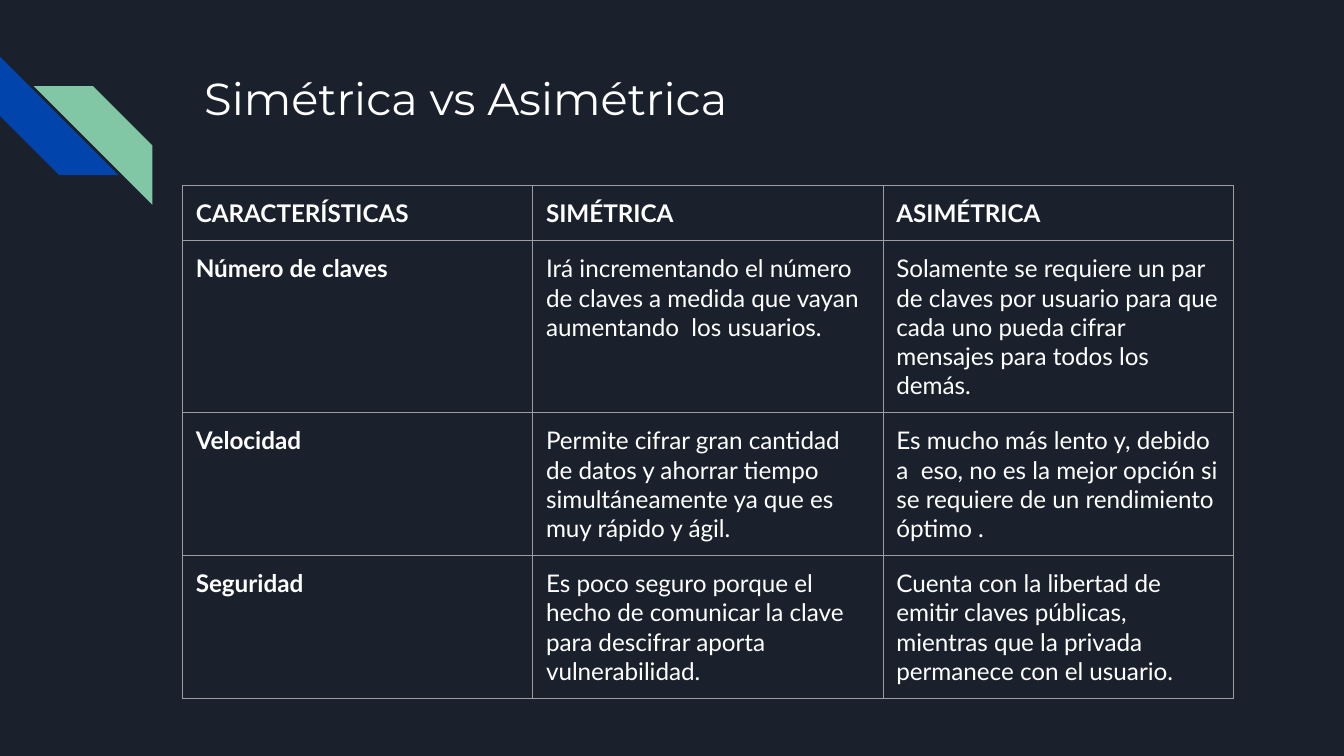
from lxml import etree
from pptx import Presentation
from pptx.dml.color import RGBColor
from pptx.enum.shapes import MSO_SHAPE
from pptx.enum.text import MSO_ANCHOR, PP_ALIGN
from pptx.oxml.ns import qn
from pptx.util import Cm, Pt

STRIPE = MSO_SHAPE.DIAGONAL_STRIPE
TOP = MSO_ANCHOR.TOP
LEFT = PP_ALIGN.LEFT

HUES = {"back": "1B212C", "text": "FFFFFF", "rule": "9E9E9E",
        "blue": "0145AC", "green": "82C7A5"}
TITLE = "Simétrica vs Asimétrica"
ROWS = [
    ("CARACTERÍSTICAS", "SIMÉTRICA", "ASIMÉTRICA"),
    ("Número de claves",
     "Irá incrementando el número de claves a medida que vayan aumentando  los usuarios.",
     "Solamente se requiere un par de claves por usuario para que cada uno pueda cifrar mensajes para todos los demás."),
    ("Velocidad",
     "Permite cifrar gran cantidad de datos y ahorrar tiempo simultáneamente ya que es muy rápido y ágil.",
     "Es mucho más lento y, debido a  eso, no es la mejor opción si se requiere de un rendimiento óptimo ."),
    ("Seguridad",
     "Es poco seguro porque el hecho de comunicar la clave para descifrar aporta vulnerabilidad.",
     "Cuenta con la libertad de emitir claves públicas, mientras que la privada permanece con el usuario."),
]
HIGHS = [0.94, 2.87, 2.51, 2.39]
WIDE = 6.62
BANDS = [("blue", 0, 1.07, 270, False), ("green", 0.64, 1.63, 0, True)]
SIDE = 2.24
PAD = Cm(0.25)


def hue(name):
    return RGBColor.from_string(HUES[name])


def style(frame, font, size, bold=False):
    for par in frame.paragraphs:
        par.alignment = LEFT
        for run in par.runs:
            run.font.name = font
            run.font.size = Pt(size)
            run.font.bold = bold
            run.font.color.rgb = hue("text")


def inset(box):
    box.margin_left = box.margin_right = PAD
    box.margin_top = box.margin_bottom = PAD
    box.vertical_anchor = TOP


def rule(cell):
    props = cell._tc.get_or_add_tcPr()
    for spot, tag in enumerate(("a:lnL", "a:lnR", "a:lnT", "a:lnB")):
        line = etree.Element(qn(tag), w=str(Pt(0.75)))
        fill = etree.SubElement(line, qn("a:solidFill"))
        etree.SubElement(fill, qn("a:srgbClr"), val=HUES["rule"])
        props.insert(spot, line)


deck = Presentation()
deck.slide_width, deck.slide_height = Cm(25.4), Cm(14.29)
slide = deck.slides.add_slide(deck.slide_layouts[5])
slide.background.fill.solid()
slide.background.fill.fore_color.rgb = hue("back")

for name, x, y, turn, flip in BANDS:
    band = slide.shapes.add_shape(STRIPE, Cm(x), Cm(y), Cm(SIDE), Cm(SIDE))
    band.shadow.inherit = False
    band.fill.solid()
    band.fill.fore_color.rgb = hue(name)
    band.line.fill.background()
    band.rotation = turn
    if flip:
        band._element.spPr.find(qn("a:xfrm")).set("flipH", "1")

title = slide.shapes.title
title.left, title.top = Cm(3.61), Cm(1.09)
title.width, title.height = Cm(19.56), Cm(2.54)
title.text_frame.text = TITLE
inset(title.text_frame)
style(title.text_frame, "Montserrat", 24)

table = slide.shapes.add_table(
    len(ROWS), len(ROWS[0]), Cm(3.45), Cm(3.5),
    Cm(WIDE * len(ROWS[0])), Cm(sum(HIGHS))).table
table.first_row = table.horz_banding = False
for col in table.columns:
    col.width = Cm(WIDE)
for r, (texts, high) in enumerate(zip(ROWS, HIGHS)):
    table.rows[r].height = Cm(high)
    for c, text in enumerate(texts):
        cell = table.cell(r, c)
        cell.text_frame.text = text
        inset(cell)
        style(cell.text_frame, "Lato", 13, r == 0 or c == 0)
        cell.fill.background()
        rule(cell)

deck.save("out.pptx")
